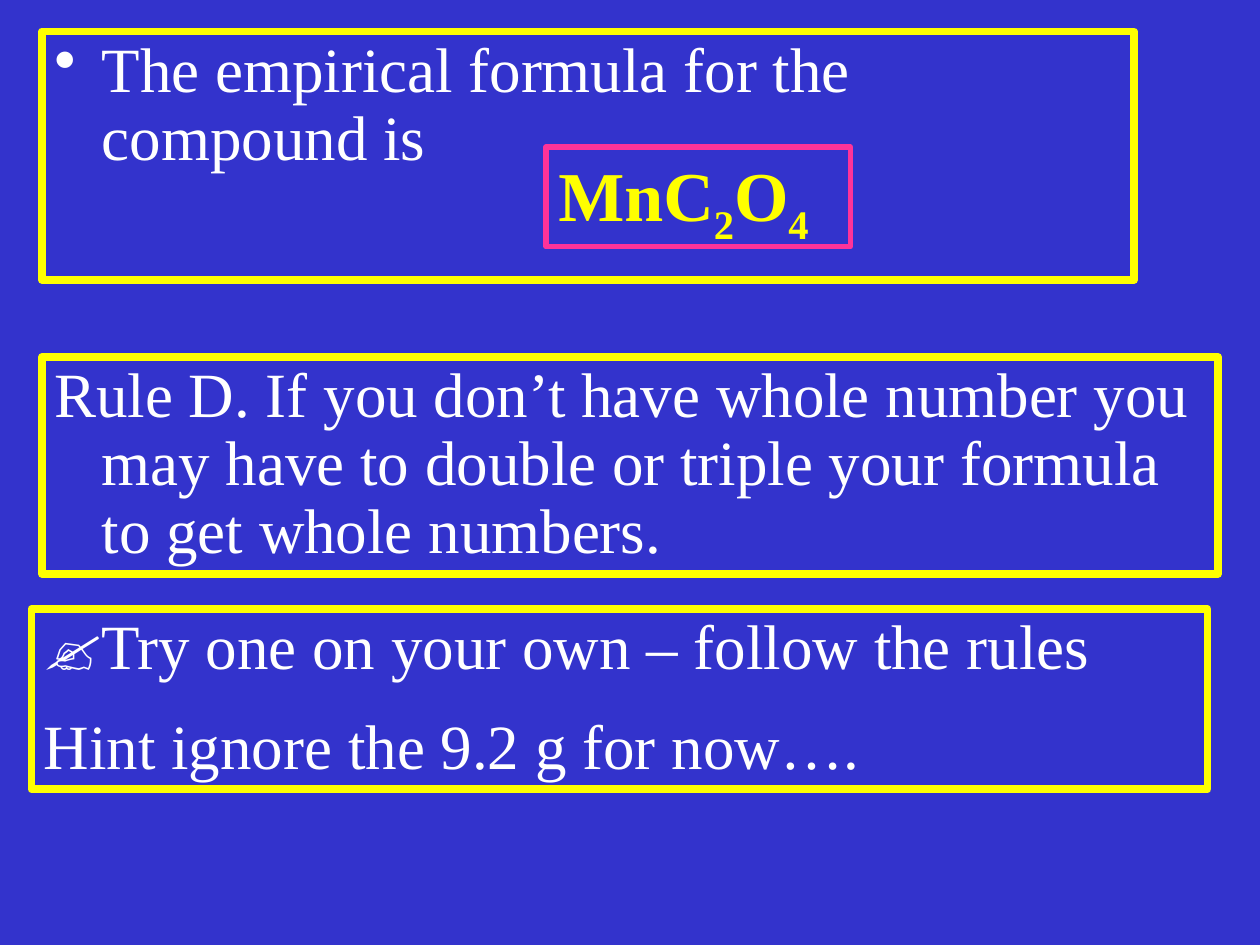
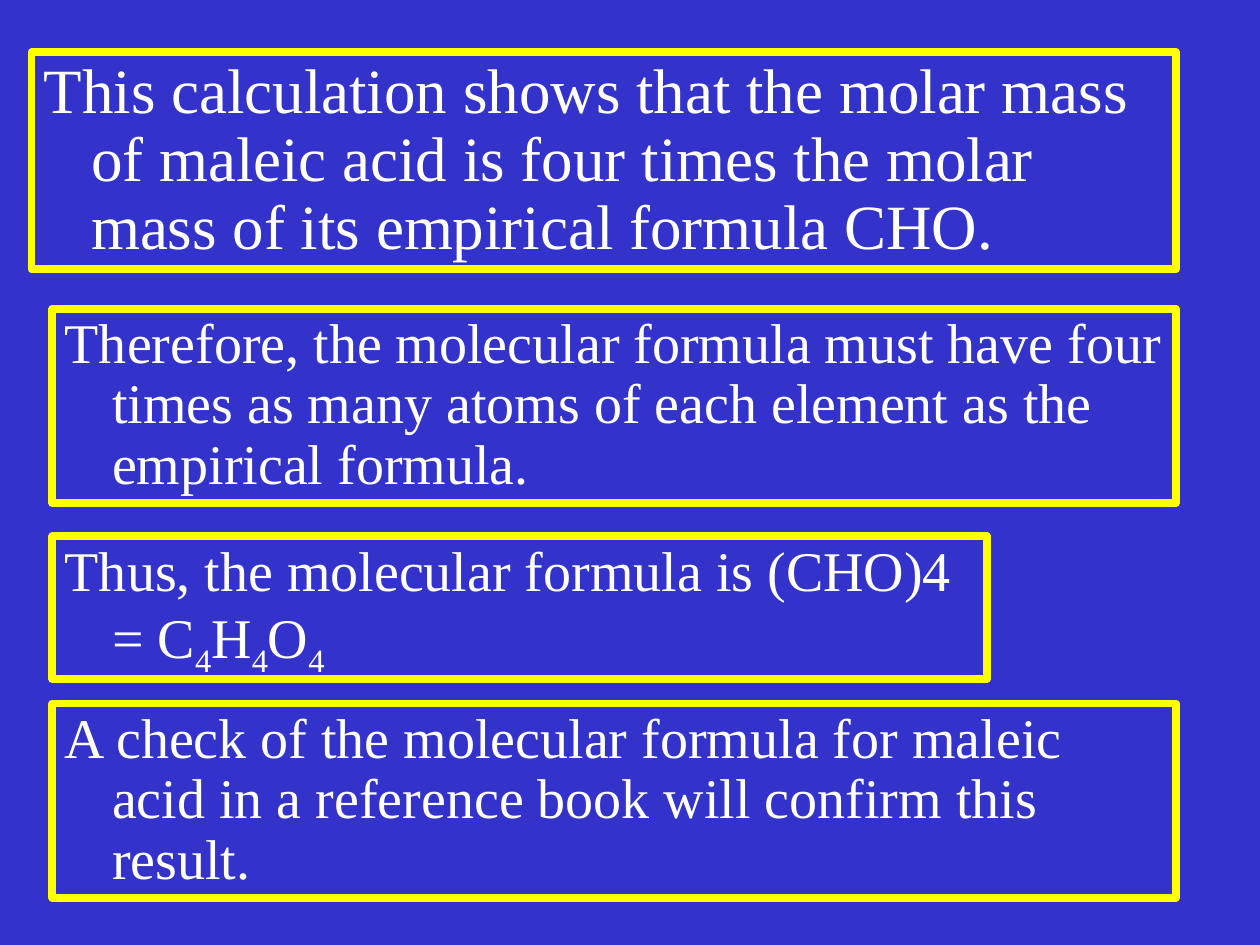
from lxml import etree
from pptx import Presentation
from pptx.dml.color import RGBColor
from pptx.enum.shapes import MSO_SHAPE
from pptx.enum.text import MSO_ANCHOR, PP_ALIGN
from pptx.oxml.ns import qn
from pptx.util import Pt

RECT = MSO_SHAPE.RECTANGLE
TOP = MSO_ANCHOR.TOP
LEFT = PP_ALIGN.LEFT

# Shared look
BLUE, GOLD, PINK, WHITE = "3333CC", "FFFF00", "FF3399", "FFFFFF"
SERIF, SANS = "Times New Roman", "Arial"
HANG = 27


def tint(code):
    return RGBColor.from_string(code)


def add_box(slide, place, paras, size, edge=GOLD, width=4.5, ink=WHITE,
            bold=False, dot=False):
    """Draw a framed box; "_" marks a subscript run, "✍" a sans one."""
    box = slide.shapes.add_shape(RECT, *[Pt(n) for n in place])
    box.shadow.inherit = False
    box.fill.background()
    box.line.color.rgb = tint(edge)
    box.line.width = Pt(width)
    frame = box.text_frame
    frame.word_wrap = True
    frame.vertical_anchor = TOP
    for i, parts in enumerate(paras):
        para = frame.paragraphs[0] if i == 0 else frame.add_paragraph()
        para.alignment = LEFT
        para.line_spacing = 0.9
        para.space_before = Pt(size / 4 if i else 0)
        para.space_after = Pt(size / 4)
        props = para._p.get_or_add_pPr()
        props.set("marL", str(Pt(HANG)))
        props.set("indent", str(-Pt(HANG)))
        if dot:
            etree.SubElement(props, qn("a:buChar")).set("char", "•")
        for part in parts:
            run = para.add_run()
            run.text = part.lstrip("_")
            font = run.font
            font.name = SANS if part == "✍" else SERIF
            font.size = Pt(size)
            font.bold = bold
            font.color.rgb = tint(ink)
            if part.startswith("_"):
                run._r.get_or_add_rPr().set("baseline", "-25000")


deck = Presentation()
deck.slide_width, deck.slide_height = Pt(720), Pt(540)
pages = []
for n in range(2):
    page = deck.slides.add_slide(deck.slide_layouts[6])
    page.background.fill.solid()
    page.background.fill.fore_color.rgb = tint(BLUE)
    pages.append(page)
rules, check = pages

# Slide 1: empirical formula, rule D and the exercise
add_box(rules, (24, 18, 624, 142),
        [["The empirical formula for the compound is"]], 36, dot=True)
add_box(rules, (312, 84, 174, 57), [["MnC", "_2", "O", "_4"]], 40,
        edge=PINK, width=3, ink=GOLD, bold=True)
add_box(rules, (24, 204, 672, 124),
        [["Rule D. If you don’t have whole number you may have to double "
          "or triple your formula to get whole numbers."]], 36)
add_box(rules, (18, 348, 672, 103),
        [["✍", "Try one on your own – follow the rules"],
         ["Hint ignore the 9.2 g for now…."]], 36)

# Slide 2: from empirical to molecular formula
add_box(check, (18, 30, 654, 124),
        [["This calculation shows that the molar mass of maleic acid is four "
          "times the molar mass of its empirical formula CHO."]], 36)
steps = [
    (176.5, 642, 111, ["Therefore, the molecular formula must have four times "
                       "as many atoms of each element as the empirical "
                       "formula."]),
    (306.5, 534, 81.5, ["Thus, the molecular formula is (CHO)4 = C", "_4",
                        "H", "_4", "O", "_4"]),
    (402, 642, 111, ["A check of the molecular formula for maleic acid in a "
                     "reference book will confirm this result."]),
]
for top, wide, high, parts in steps:
    add_box(check, (30, top, wide, high), [parts], 32)

deck.save("out.pptx")
